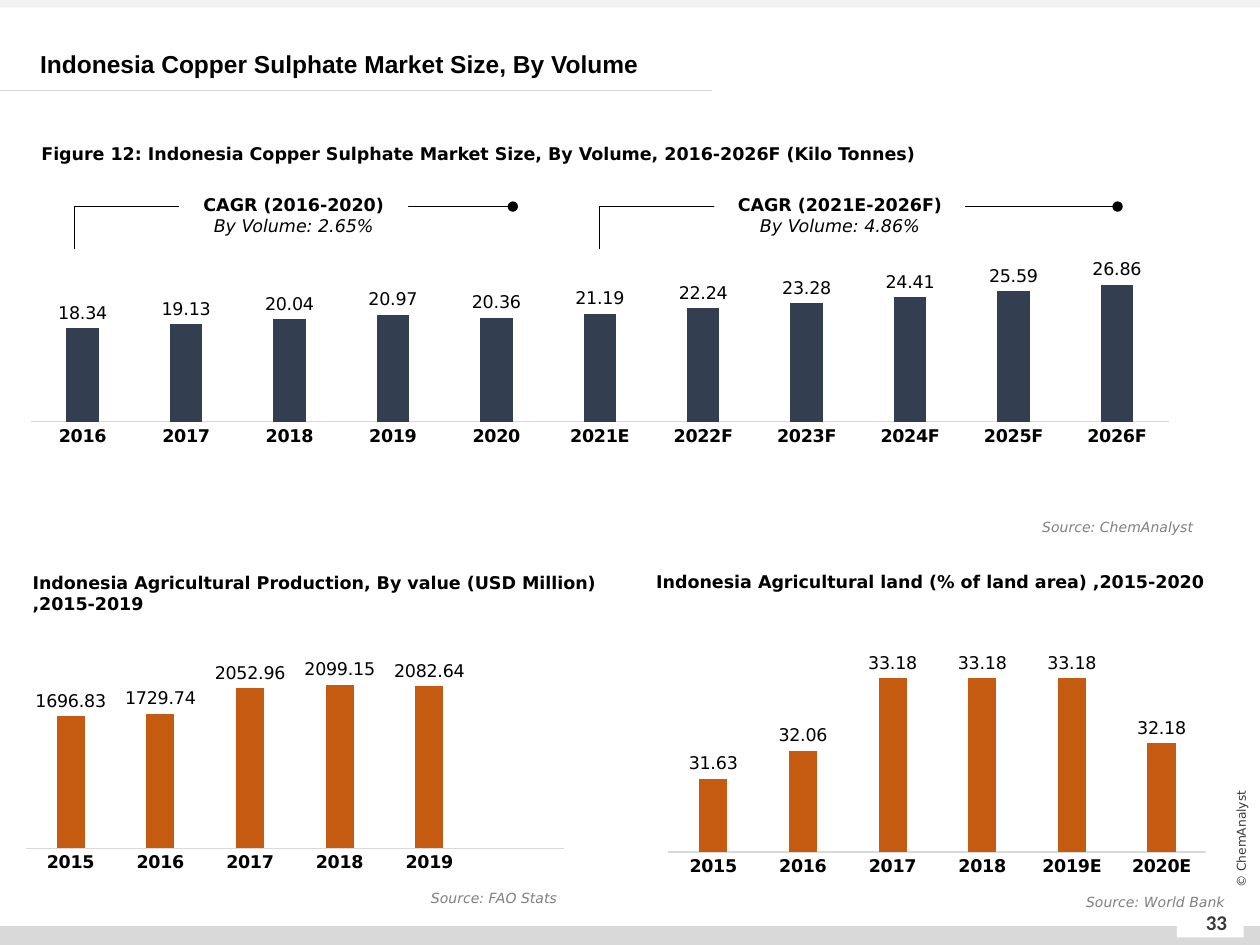
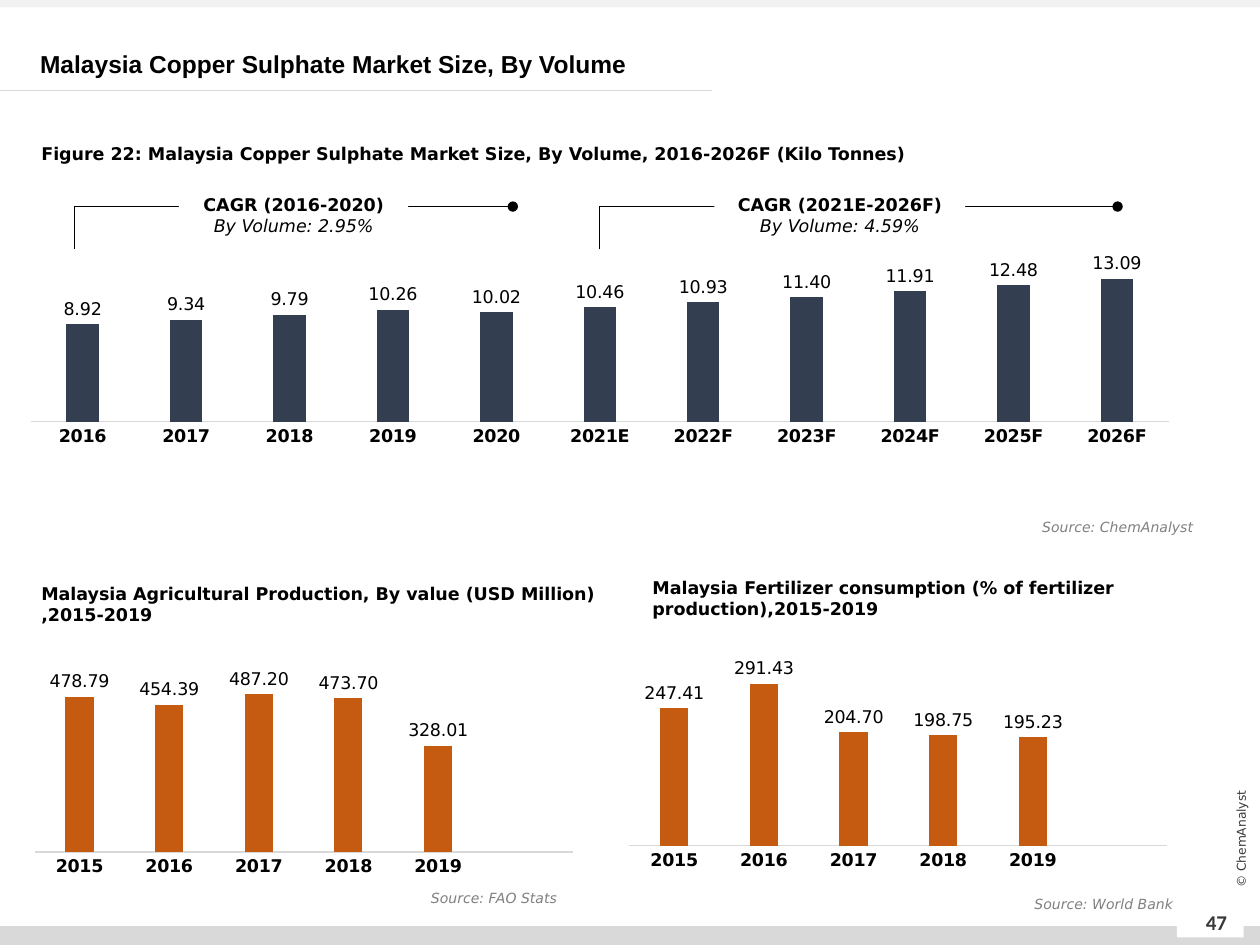
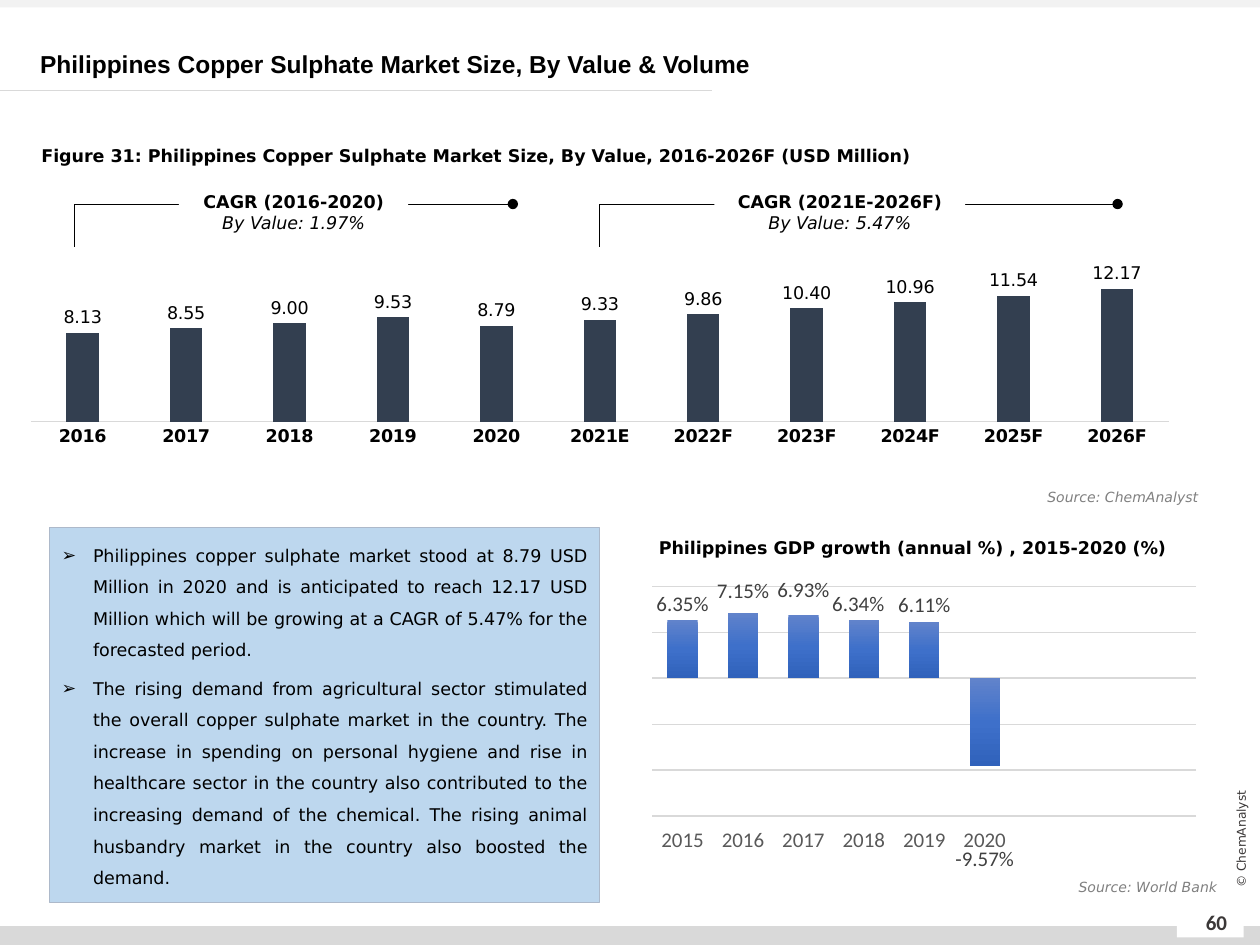
from copy import deepcopy

from lxml import etree
from pptx import Presentation
from pptx.chart.data import CategoryChartData
from pptx.dml.color import RGBColor
from pptx.enum.chart import XL_CHART_TYPE, XL_LABEL_POSITION, XL_TICK_LABEL_POSITION, XL_TICK_MARK
from pptx.enum.shapes import MSO_CONNECTOR, MSO_SHAPE
from pptx.enum.text import MSO_ANCHOR, PP_ALIGN
from pptx.oxml.ns import qn
from pptx.util import Inches, Pt

COLUMN = XL_CHART_TYPE.COLUMN_CLUSTERED
OUTSIDE, MIDDLE_LABEL = XL_LABEL_POSITION.OUTSIDE_END, XL_LABEL_POSITION.CENTER
LOW, NO_TICK = XL_TICK_LABEL_POSITION.LOW, XL_TICK_MARK.NONE
STRAIGHT, ELBOW = MSO_CONNECTOR.STRAIGHT, MSO_CONNECTOR.ELBOW
RECT = MSO_SHAPE.RECTANGLE
TOP, MIDDLE = MSO_ANCHOR.TOP, MSO_ANCHOR.MIDDLE
LEFT, CENTER, RIGHT, JUSTIFY = PP_ALIGN.LEFT, PP_ALIGN.CENTER, PP_ALIGN.RIGHT, PP_ALIGN.JUSTIFY

BLACK = RGBColor(0x00, 0x00, 0x00)
WHITE = RGBColor(0xFF, 0xFF, 0xFF)
RULE = RGBColor(0xD9, 0xD9, 0xD9)
TOP_BAND = RGBColor(0xF2, 0xF2, 0xF2)
FOOTER_TEXT = RGBColor(0x3B, 0x38, 0x38)
SOURCE_TEXT = RGBColor(0x80, 0x80, 0x80)
NAVY = RGBColor(0x33, 0x3F, 0x50)
ORANGE = RGBColor(0xC5, 0x5A, 0x11)
PANEL = RGBColor(0xBD, 0xD7, 0xEE)
PANEL_LINE = RGBColor(0xAD, 0xB9, 0xCA)
AXIS_TEXT = RGBColor(0x59, 0x59, 0x59)
LABEL_TEXT = RGBColor(0x40, 0x40, 0x40)
BLUES = [(0, RGBColor(0x61, 0x83, 0xCB)), (0.5, RGBColor(0x3E, 0x70, 0xCA)),
         (1, RGBColor(0x30, 0x62, 0xBB))]

BODY, TITLE, NUMBER = "DejaVu Sans", "Arial", "Calibri"
MARKET_YEARS = ["2016", "2017", "2018", "2019", "2020",
                "2021E", "2022F", "2023F", "2024F", "2025F", "2026F"]
YEARS = ["2015", "2016", "2017", "2018", "2019"]
MARKET_PLOT = (0, 0.16, 1, 0.584)
SMALL_PLOT = (0, 0.16, 1, 0.712)
GDP_PLOT = (0.011, 0.053, 0.989, 0.769)
GDP_LABEL_OFFSETS = [(0, -0.15), (0, -0.18), (0, -0.19), (-0.01, -0.15), (0, -0.15), (0, 0.46)]
C15 = "http://schemas.microsoft.com/office/drawing/2012/chart"
LABEL_EXTENSION = "{CE6537A1-D6FC-4f65-9D91-7224C49458BB}"


def box(at):
    return [Inches(v) for v in at]


def style_font(font, size=10, name=BODY, color=BLACK, bold=False, italic=False):
    font.size, font.name, font.bold, font.italic = Pt(size), name, bold, italic
    font.color.rgb = color


def write(p, text, align=LEFT, spacing=None, before=None, **font):
    p.alignment = align
    if spacing:
        p.line_spacing = spacing
    if before:
        p.space_before = Pt(before)
    r = p.add_run()
    r.text = text
    style_font(r.font, **font)


def add_layout(parent, index, **values):
    layout = etree.Element(qn("c:layout"))
    manual = etree.SubElement(layout, qn("c:manualLayout"))
    for tag, value in values.items():
        etree.SubElement(manual, qn(f"c:{tag}")).set("val", str(value))
    parent.insert(index, layout)


def hide_leader_lines(chart):
    labels = chart.element.xpath(".//c:ser/c:dLbls")[0]
    for flag in labels.xpath("./c:showLeaderLines"):
        flag.set("val", "0")
    extensions = etree.SubElement(labels, qn("c:extLst"))
    ext = etree.SubElement(extensions, qn("c:ext"), nsmap={"c15": C15})
    ext.set("uri", LABEL_EXTENSION)
    etree.SubElement(ext, f"{{{C15}}}showLeaderLines").set("val", "0")


class Deck:
    def __init__(self):
        self.prs = Presentation()
        self.prs.slide_width, self.prs.slide_height = Inches(10), Inches(7.5)
        self.s = None

    def new_slide(self, title, number):
        self.s = self.prs.slides.add_slide(self.prs.slide_layouts[6])
        self.rect((0, 7.35, 10, 0.15), RULE)
        self.rect((0, 0, 10, 0.06), TOP_BAND)
        self.rect((9.34, 7.22, 0.53, 0.22), WHITE)
        self.line(STRAIGHT, (0, 0.72, 5.65, 0.72), RULE)
        self.text((9.41, 7.12, 0.49, 0.4), str(number), MIDDLE, align=CENTER,
                  size=12, name=NUMBER, color=FOOTER_TEXT, bold=True)
        mark = self.text((9.25, 6.58, 1.2, 0.16), "© ChemAnalyst", MIDDLE, align=CENTER,
                         size=7, color=FOOTER_TEXT)
        mark.rotation = 270
        self.text((0.22, 0.34, 9.76, 0.32), title, MIDDLE, spacing=Pt(17),
                  size=14, name=TITLE, bold=True)

    def rect(self, at, fill, line=None):
        sp = self.s.shapes.add_shape(RECT, *box(at))
        sp.shadow.inherit = False
        sp.fill.solid()
        sp.fill.fore_color.rgb = fill
        if line:
            sp.line.color.rgb = line
            sp.line.width = Pt(0.5)
        else:
            sp.line.fill.background()
        return sp

    def line(self, kind, ends, color):
        cxn = self.s.shapes.add_connector(kind, *box(ends))
        cxn.line.color.rgb = color
        cxn.line.width = Pt(0.5)
        etree.SubElement(cxn.element.spPr, qn("a:effectLst"))
        return cxn

    def text(self, at, text, anchor=TOP, **fmt):
        sp = self.s.shapes.add_textbox(*box(at))
        tf = sp.text_frame
        tf.word_wrap = True
        tf.vertical_anchor = anchor
        write(tf.paragraphs[0], text, **fmt)
        return sp

    def heading(self, x, y, text, width=5.01, height=0.44, spacing=None):
        self.text((x, y, width, height), text, spacing=spacing, bold=True)

    def source(self, x, y, name, width=2.56):
        self.text((x, y, width, 0.24), f"Source: {name}", align=RIGHT,
                  size=8, color=SOURCE_TEXT, italic=True)

    def bracket(self, x, end, y, label_x, label_width, period, rate):
        cxn = self.line(ELBOW, (x, y + 0.34, end, y), BLACK)
        spPr = cxn.element.spPr
        guide = etree.SubElement(spPr.xpath("./a:prstGeom/a:avLst")[0], qn("a:gd"))
        guide.set("name", "adj1")
        guide.set("fmla", "val 0")
        etree.SubElement(spPr.xpath("./a:ln")[0], qn("a:tailEnd")).set("type", "oval")
        tf = self.rect((label_x, y - 0.22, label_width, 0.57), WHITE).text_frame
        tf.word_wrap = True
        tf.vertical_anchor = MIDDLE
        write(tf.paragraphs[0], f"CAGR ({period})", align=CENTER, bold=True)
        write(tf.add_paragraph(), rate, align=CENTER, italic=True)

    def bullets(self, at, items):
        tf = self.rect(at, PANEL, PANEL_LINE).text_frame
        tf.word_wrap = True
        tf.vertical_anchor = TOP
        for i, item in enumerate(items):
            p = tf.add_paragraph() if i else tf.paragraphs[0]
            pPr = p._p.get_or_add_pPr()
            pPr.set("marL", str(Inches(0.25)))
            pPr.set("indent", str(Inches(-0.25)))
            etree.SubElement(pPr, qn("a:buFont")).set("typeface", BODY)
            etree.SubElement(pPr, qn("a:buChar")).set("char", "➢")
            write(p, item, align=JUSTIFY, spacing=1.5, before=4 if i else None)

    def chart(self, at, cats, values, plot_area, low, high, color=None, gap=219, overlap=-27,
              fmt="0.00", name=BODY, axis_font=None, label_font=None, axis_width=0.75):
        data = CategoryChartData(number_format=fmt)
        data.categories = cats
        data.add_series("Series 1", values + [None] * (len(cats) - len(values)))
        chart = self.s.shapes.add_chart(COLUMN, *box(at), data).chart
        chart.has_legend = chart.has_title = False
        style_font(chart.font, name=name)
        x, y, w, h = plot_area
        add_layout(chart.element.xpath("./c:chart/c:plotArea")[0], 0, layoutTarget="inner",
                   xMode="edge", yMode="edge", x=x, y=y, w=w, h=h)

        plot = chart.plots[0]
        plot.gap_width, plot.overlap, plot.vary_by_categories = gap, overlap, False
        series = plot.series[0]
        if color:
            series.format.fill.solid()
            series.format.fill.fore_color.rgb = color
        labels = series.data_labels
        labels.show_value = True
        labels.position = OUTSIDE
        labels.number_format, labels.number_format_is_linked = fmt, False
        style_font(labels.font, **(label_font or {}))

        axis = chart.category_axis
        axis.major_tick_mark = axis.minor_tick_mark = NO_TICK
        axis.format.line.color.rgb = RULE
        axis.format.line.width = Pt(axis_width)
        style_font(axis.tick_labels.font, **(axis_font or {"bold": True}))
        values_axis = chart.value_axis
        values_axis.visible = values_axis.has_major_gridlines = False
        values_axis.minimum_scale, values_axis.maximum_scale = low, high
        return chart

    def market(self, figure, values, high, rates, y=1.64, figure_y=1):
        self.chart((0.24, 1.8, 9.04, 2.08), MARKET_YEARS, values, MARKET_PLOT, 0, high, NAVY)
        self.bracket(4.76, 8.87, y, 5.67, 1.99, "2021E-2026F", rates[1])
        self.bracket(0.59, 4.07, y, 1.42, 1.82, "2016-2020", rates[0])
        self.heading(0.23, figure_y, figure, 8.82, 0.32, spacing=1.5)

    def small_chart(self, x, y, cats, values, high, low=0):
        self.chart((x, y, 4.28, 2.17), cats, values, SMALL_PLOT, low, high, ORANGE)

    def gdp_chart(self, at, values):
        label_font = {"size": 12, "name": NUMBER, "color": LABEL_TEXT}
        chart = self.chart(at, YEARS + ["2020", "", "", ""], values, GDP_PLOT, -0.15, 0.1,
                           gap=100, overlap=-24, fmt="0.00%", name=NUMBER, axis_width=1,
                           axis_font={"size": 12, "name": NUMBER, "color": AXIS_TEXT},
                           label_font=label_font)
        chart.category_axis.tick_label_position = LOW
        axis = chart.value_axis
        axis.major_unit = 0.05
        axis.has_major_gridlines = True
        axis.major_gridlines.format.line.color.rgb = RULE
        axis.major_gridlines.format.line.width = Pt(0.75)

        series = chart.plots[0].series[0]
        fill = series.format.fill
        fill.gradient()
        fill.gradient_angle = 270
        stop = chart.element.xpath(".//c:ser/c:spPr/a:gradFill/a:gsLst/a:gs")[0]
        stop.addnext(deepcopy(stop))
        for gs, (position, color) in zip(fill.gradient_stops, BLUES):
            gs.position = position
            gs.color.rgb = color

        for i in range(len(values)):
            label = series.points[i].data_label
            style_font(label.font, **label_font)
            label.position = MIDDLE_LABEL
        for element, (x, y) in zip(chart.element.xpath(".//c:dLbl"), GDP_LABEL_OFFSETS):
            add_layout(element, 1, x=x, y=y)
        hide_leader_lines(chart)


def indonesia(deck):
    deck.new_slide("Indonesia Copper Sulphate Market Size, By Volume", 33)
    deck.market("Figure 12: Indonesia Copper Sulphate Market Size, By Volume, 2016-2026F (Kilo Tonnes)",
                [18.34, 19.13, 20.04, 20.97, 20.36, 21.19, 22.24, 23.28, 24.41, 25.59, 26.86], 30,
                ("By Volume: 2.65%", "By Volume: 4.86%"))
    deck.source(7.16, 4.07, "ChemAnalyst", 2.41)
    deck.small_chart(0.2, 4.84, YEARS + [""], [1696.83, 1729.74, 2052.96, 2099.15, 2082.64], 2500)
    deck.heading(0.16, 4.49, "Indonesia Agricultural Production, By value (USD Million) ,2015-2019")
    deck.source(3.27, 7.01, "FAO Stats", 1.25)
    deck.small_chart(5.3, 4.87, YEARS[:4] + ["2019E", "2020E"],
                     [31.63, 32.06, 33.18, 33.18, 33.18, 32.18], 33.5, 30.5)
    deck.heading(5.11, 4.48, "Indonesia Agricultural land (% of land area) ,2015-2020", height=0.27)
    deck.source(7.26, 7.04, "World Bank")


def malaysia(deck):
    deck.new_slide("Malaysia Copper Sulphate Market Size, By Volume", 47)
    deck.market("Figure 22: Malaysia Copper Sulphate Market Size, By Volume, 2016-2026F (Kilo Tonnes)",
                [8.92, 9.34, 9.79, 10.26, 10.02, 10.46, 10.93, 11.4, 11.91, 12.48, 13.09], 14,
                ("By Volume: 2.95%", "By Volume: 4.59%"))
    deck.source(7.16, 4.07, "ChemAnalyst", 2.41)
    deck.small_chart(0.27, 4.87, YEARS + [""], [478.79, 454.39, 487.2, 473.7, 328.01], 600)
    deck.heading(0.23, 4.58, "Malaysia Agricultural Production, By value (USD Million) ,2015-2019")
    deck.source(3.27, 7.01, "FAO Stats", 1.25)
    deck.small_chart(4.99, 4.82, YEARS + [""], [247.41, 291.43, 204.7, 198.75, 195.23], 350)
    deck.heading(5.08, 4.53, "Malaysia Fertilizer consumption (% of fertilizer production),2015-2019")
    deck.source(6.85, 7.06, "World Bank")


def philippines(deck):
    deck.new_slide("Philippines Copper Sulphate Market Size, By Value & Volume", 60)
    deck.market("Figure 31: Philippines Copper Sulphate Market Size, By Value, 2016-2026F (USD Million)",
                [8.13, 8.55, 9, 9.53, 8.79, 9.33, 9.86, 10.4, 10.96, 11.54, 12.17], 14,
                ("By Value: 1.97%", "By Value: 5.47%"), y=1.62, figure_y=1.02)
    deck.source(7.2, 3.83, "ChemAnalyst", 2.41)
    deck.gdp_chart((5.13, 4.53, 4.37, 2.39), [0.0635, 0.0715, 0.0693, 0.0634, 0.0611, -0.0957])
    deck.heading(5.13, 4.13, "Philippines GDP growth (annual %) , 2015-2020 (%)",
                 height=0.32, spacing=1.5)
    deck.source(7.2, 6.92, "World Bank")
    deck.bullets((0.39, 4.19, 4.37, 2.97), [
        "Philippines copper sulphate market stood at 8.79 USD Million in 2020 and is anticipated "
        "to reach 12.17 USD Million which will be growing at a CAGR of 5.47% for the forecasted "
        "period.",
        "The rising demand from agricultural sector stimulated the overall copper sulphate market "
        "in the country. The increase in spending on personal hygiene and rise in healthcare "
        "sector in the country also contributed to the increasing demand of the chemical. The "
        "rising animal husbandry market in the country also boosted the demand.",
    ])


def main():
    deck = Deck()
    indonesia(deck)
    malaysia(deck)
    philippines(deck)
    deck.prs.save("out.pptx")


if __name__ == "__main__":
    main()
